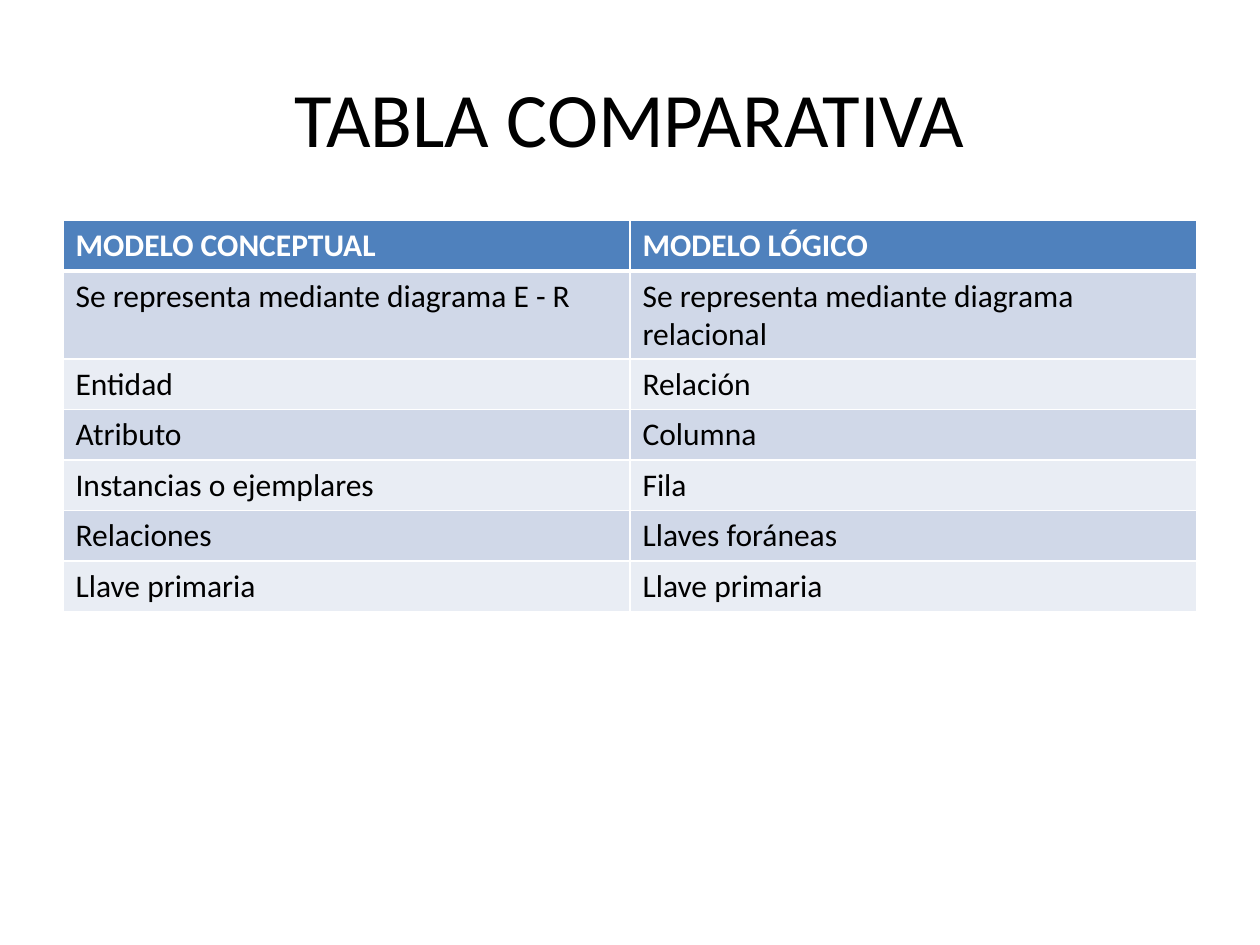
from lxml.etree import SubElement
from pptx import Presentation
from pptx.dml.color import RGBColor as RGB
from pptx.enum.text import MSO_ANCHOR as Anchor, PP_ALIGN as Align
from pptx.oxml.ns import qn
from pptx.util import Inches, Pt

TITLE = "TABLA COMPARATIVA"
ROWS = [
    ("MODELO CONCEPTUAL", "MODELO LÓGICO"),
    ("Se representa mediante diagrama E - R", "Se representa mediante diagrama relacional"),
    ("Entidad", "Relación"),
    ("Atributo", "Columna"),
    ("Instancias o ejemplares", "Fila"),
    ("Relaciones", "Llaves foráneas"),
    ("Llave primaria", "Llave primaria"),
]
COLORS = {"header": "4F81BD", "odd": "D0D8E8", "even": "E9EDF4",
          "text": "000000", "white": "FFFFFF"}
FORMATS = {
    "title": {"name": "Calibri", "size": Pt(44), "bold": False},
    "header": {"name": "Calibri", "size": Pt(18), "bold": True},
    "body": {"name": "Calibri", "size": Pt(18), "bold": False},
}
WIDTH, HEIGHT, MARGIN = Inches(10), Inches(7.5), Inches(0.5)
TITLE_TOP, TITLE_HEIGHT = Inches(0.3), Inches(1.25)
TABLE_TOP, ROW_HEIGHT = Inches(1.75), Inches(0.4)
CONTENT = WIDTH - 2 * MARGIN


def write(tf, text, style, color):
    r = tf.paragraphs[0].add_run()
    r.text = text
    for key, value in FORMATS[style].items():
        setattr(r.font, key, value)
    r.font.color.rgb = RGB.from_string(COLORS[color])


def add_borders(cell, bottom):
    pr = cell._tc.get_or_add_tcPr()
    widths = {"a:lnL": 1, "a:lnR": 1, "a:lnT": 1, "a:lnB": bottom}
    for i, (tag, width) in enumerate(widths.items()):
        ln = SubElement(pr, qn(tag), w=str(Pt(width)))
        fill = SubElement(ln, qn("a:solidFill"))
        SubElement(fill, qn("a:srgbClr"), val=COLORS["white"])
        pr.insert(i, ln)


prs = Presentation()
prs.slide_width, prs.slide_height = WIDTH, HEIGHT
s = prs.slides.add_slide(prs.slide_layouts[6])

tf = s.shapes.add_textbox(MARGIN, TITLE_TOP, CONTENT, TITLE_HEIGHT).text_frame
tf.word_wrap = True
tf.vertical_anchor = Anchor.MIDDLE
tf.paragraphs[0].alignment = Align.CENTER
write(tf, TITLE, "title", "text")

table = s.shapes.add_table(len(ROWS), len(ROWS[0]), MARGIN, TABLE_TOP,
                           CONTENT, ROW_HEIGHT * len(ROWS)).table
for i, row in enumerate(ROWS):
    header = i == 0
    band = "header" if header else "odd" if i % 2 else "even"
    for j, text in enumerate(row):
        cell = table.cell(i, j)
        cell.fill.solid()
        cell.fill.fore_color.rgb = RGB.from_string(COLORS[band])
        add_borders(cell, 3 if i == 0 else 1)
        write(cell.text_frame, text, "header" if header else "body",
              "white" if header else "text")

prs.save("out.pptx")
